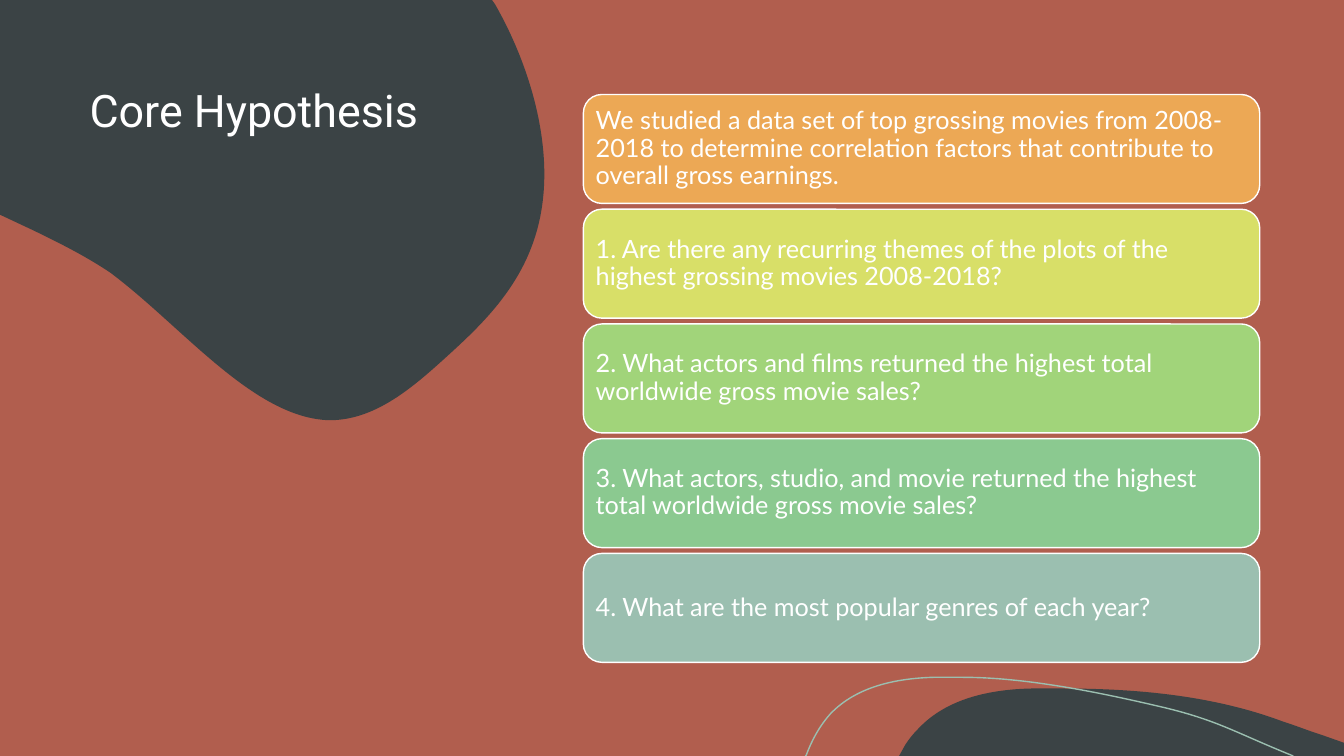
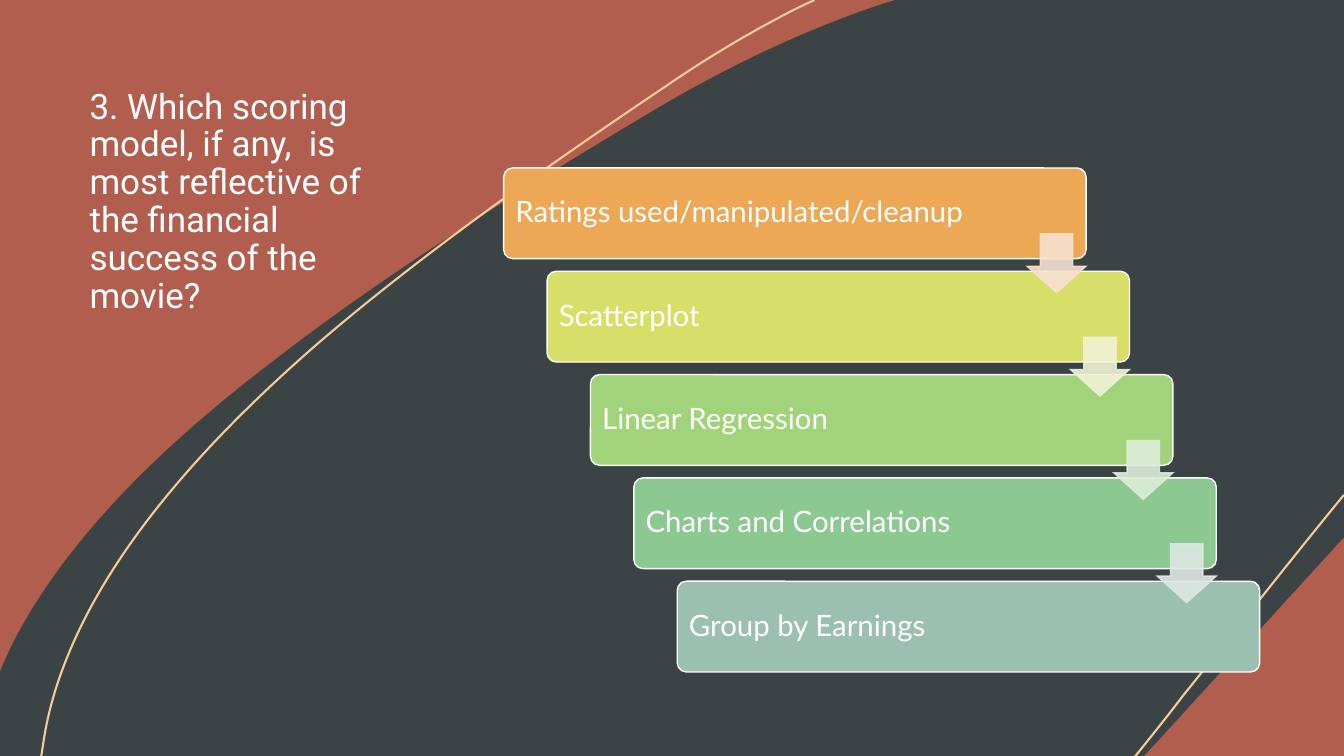
from lxml import etree
from pptx import Presentation
from pptx.dml.color import RGBColor
from pptx.enum import shapes, text
from pptx.oxml.ns import qn
from pptx.util import Pt

HUE = {"rust": "B15E4E", "slate": "3B4345", "sand": "F4CB99",
       "white": "FFFFFF", "sage": "9BBFB0"}
BARS = ["ECA855", "D8DF68", "A1D47A", "8BC990", HUE["sage"]]
TIPS = ["F8E1D1", "EFF3D5", "DDEDDA", "DEE8E4"]
WIDE, HIGH = 960, 540

BLOB = [(0, 0), (351.4, 0), (353.5, 2.9),
        (376.6, 43.2, 392.4, 94.3, 388.1, 139.7),
        (383, 194.4, 349.9, 226.8, 319.7, 254.2),
        (294.5, 277.2, 267.8, 300.2, 235.4, 300.2),
        (181.4, 298.8, 131, 234, 79.2, 195.1),
        (63.4, 184.3, 43.9, 174.2, 23, 164.2), (0, 153.4)]
HILL = [(758.9, 491.8), (812.2, 491.8, 866.9, 496.8, 916.6, 515.5),
        (925.9, 518.4, 934.6, 522, 943.9, 524.9),
        (960, 530.6), (960, 540), (642.2, 540), (646.6, 532.1),
        (649.4, 527.8, 652.3, 524.2, 655.9, 520.6),
        (676.1, 499, 707, 492.5, 736.6, 491.8),
        (743.8, 491.8, 751, 491.8, 758.9, 491.8)]
WAVE = [(575.3, 540), (576, 539.3),
        (580.3, 527.8, 586.1, 517.7, 593.3, 509.8),
        (612, 490.3, 640.1, 484.6, 666.7, 483.8), (687.6, 483.8),
        (735.8, 483.8, 792, 496.1, 831.6, 505.4),
        (870.5, 514.8, 882.7, 523.4, 923.8, 540)]
FIELD = [(639.4, 0), (960, 0), (960, 383.8), (817.2, 540), (0, 540),
         (0, 479.5), (5, 468, 10.1, 456.5, 16.6, 445.7),
         (53.3, 380.9, 115.9, 318.2, 194.4, 258.5),
         (272.2, 198, 365, 139.7, 461.5, 82.1),
         (522.7, 45.4, 578.2, 20.2, 630, 2.9)]
ARC = [(29.5, 540), (31, 530.6), (35.3, 501.1, 45.4, 472.3, 59.8, 443.5),
       (94.3, 375.1, 153.4, 309.6, 226.1, 246.2),
       (298.8, 183.6, 385.2, 122.4, 475.2, 61.9),
       (507.6, 39.6, 538.6, 21.6, 568.1, 6.5), (581.8, 0)]
EDGE = [(960, 353.5), (921.6, 400.3, 883.4, 449.3, 844.6, 497.5),
        (833.8, 511.9, 809.3, 542.2, 809.3, 542.2)]

SLIDES = [
    {"title": ("Core Hypothesis", 303, 32),
     "art": [(BLOB, "slate", 0), (HILL, "slate", 0), (WAVE, "sage", 1)],
     "cards": [
         "We studied a data set of top grossing movies from 2008-2018 to "
         "determine correlation factors that contribute to overall gross "
         "earnings.",
         "1. Are there any recurring themes of the plots of the highest "
         "grossing movies 2008-2018?",
         "2. What actors and films returned the highest total worldwide "
         "gross movie sales?",
         "3. What actors, studio, and movie returned the highest total "
         "worldwide gross movie sales?",
         "4. What are the most popular genres of each year?"],
     "grid": {"left": 416.7, "top": 67.5, "wide": 483.1, "high": 77.8,
              "dx": 0, "dy": 81.95},
     "style": {"size": 18, "pad": 5, "bend": 0.17}, "tips": []},
    {"title": ("3. Which scoring model, if any,  is most reflective of the "
               "financial success of the movie?", 240, 25),
     "art": [(FIELD, "slate", 0), (ARC, "sand", 1.5), (EDGE, "sand", 1.5)],
     "cards": ["Ratings used/manipulated/cleanup", "Scatterplot",
               "Linear Regression", "Charts and Correlations",
               "Group by Earnings"],
     "grid": {"left": 359.8, "top": 120, "wide": 416, "high": 64.8,
              "dx": 31, "dy": 73.8},
     "style": {"size": 21, "pad": 6.5, "bend": 0.1}, "tips": TIPS},
]
TIP = {"dx": 373.9, "dy": 47.1, "side": 42, "alpha": 90}


def paint(shape, fill, line, width=1):
    shape.shadow.inherit = False
    for part, hue in ((shape.fill, fill), (shape.line.fill, line)):
        if hue:
            part.solid()
            part.fore_color.rgb = RGBColor.from_string(hue)
        else:
            part.background()
    if line:
        shape.line.width = Pt(width)


def bend(shape, path):
    track = next(shape._element.iter(qn("a:path")))
    nodes = iter(track.findall(qn("a:lnTo")))
    for seg in path[1:]:
        if len(seg) == 2:
            next(nodes)
            continue
        group = [next(nodes) for _ in range(3)]
        curve = etree.Element(qn("a:cubicBezTo"))
        group[0].addprevious(curve)
        for node in group:
            curve.append(node[0])
            track.remove(node)


def draw(slide, path, hue, width):
    dots = [(seg[k] * 100, seg[k + 1] * 100)
            for seg in path for k in range(0, len(seg), 2)]
    pen = slide.shapes.build_freeform(*dots[0], scale=Pt(0.01))
    pen.add_line_segments(dots[1:], close=not width)
    shape = pen.convert_to_shape()
    bend(shape, path)
    paint(shape, None if width else HUE[hue], HUE[hue] if width else None,
          width)


def write(shape, words, size, face, look):
    frame = shape.text_frame
    for key, val in {"word_wrap": True, **look}.items():
        setattr(frame, key, val)
    para = frame.paragraphs[0]
    para.alignment = text.PP_ALIGN.LEFT
    para.line_spacing = 0.9
    run = para.add_run()
    run.text = words
    for key, val in {"size": Pt(size), "name": face}.items():
        setattr(run.font, key, val)
    run.font.color.rgb = RGBColor.from_string(HUE["white"])


def place(slide, kind, *box):
    return slide.shapes.add_shape(kind, *map(Pt, box))


def stack(slide, cards, grid, style):
    pad = Pt(style["pad"])
    look = {f"margin_{side}": pad
            for side in ("left", "right", "top", "bottom")}
    look["vertical_anchor"] = text.MSO_ANCHOR.MIDDLE
    for i, (words, hue) in enumerate(zip(cards, BARS)):
        card = place(slide, shapes.MSO_SHAPE.ROUNDED_RECTANGLE,
                     grid["left"] + i * grid["dx"],
                     grid["top"] + i * grid["dy"],
                     grid["wide"], grid["high"])
        card.adjustments[0] = style["bend"]
        paint(card, hue, HUE["white"])
        write(card, words, style["size"], "Lato", look)


def point(slide, tips, grid):
    for i, hue in enumerate(tips):
        tip = place(slide, shapes.MSO_SHAPE.DOWN_ARROW,
                    grid["left"] + TIP["dx"] + i * grid["dx"],
                    grid["top"] + TIP["dy"] + i * grid["dy"],
                    TIP["side"], TIP["side"])
        tip.adjustments[0], tip.adjustments[1] = 0.55, 0.45
        paint(tip, hue, hue)
        props = tip._element.spPr
        for node in props.iter(qn("a:srgbClr")):
            etree.SubElement(node, qn("a:alpha"),
                             val=str(TIP["alpha"] * 1000))
        etree.SubElement(props.find(qn("a:ln")), qn("a:miter"), lim="800000")


def build(deck, data):
    slide = deck.slides.add_slide(deck.slide_layouts[6])
    back = slide.background.fill
    back.solid()
    back.fore_color.rgb = RGBColor.from_string(HUE["rust"])
    base = place(slide, shapes.MSO_SHAPE.RECTANGLE, 0, 0, WIDE, HIGH)
    paint(base, HUE["rust"], None)
    for art in data["art"]:
        draw(slide, *art)
    words, wide, size = data["title"]
    title = slide.shapes.add_textbox(Pt(56.9), Pt(60), Pt(wide), Pt(180))
    write(title, words, size, "Roboto", {})
    stack(slide, data["cards"], data["grid"], data["style"])
    point(slide, data["tips"], data["grid"])


def main():
    deck = Presentation()
    deck.slide_width, deck.slide_height = Pt(WIDE), Pt(HIGH)
    for data in SLIDES:
        build(deck, data)
    deck.save("out.pptx")


if __name__ == "__main__":
    main()
